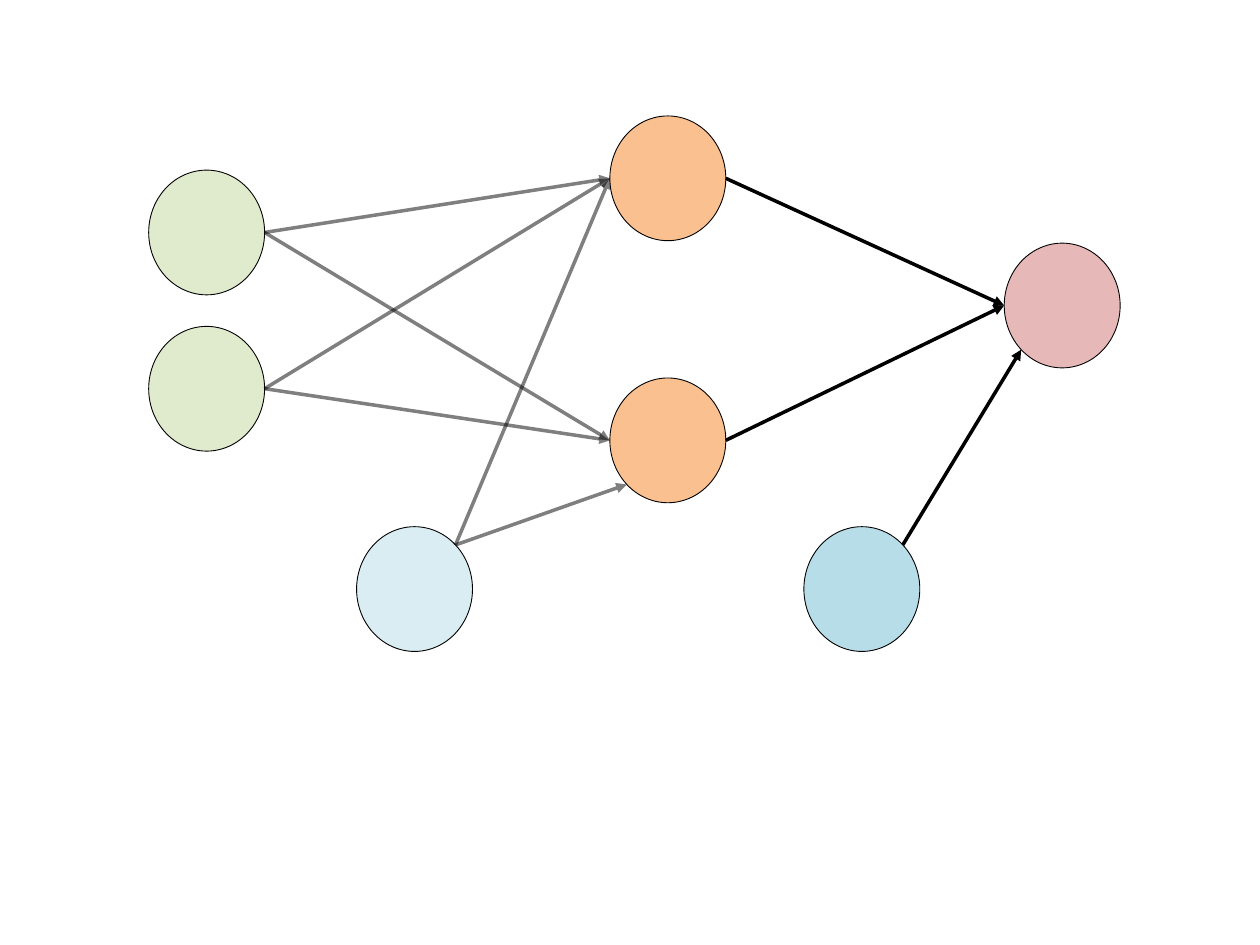
import math
from lxml import etree
from pptx import Presentation
from pptx import util as u
from pptx.dml.color import RGBColor
from pptx.enum import shapes
from pptx.oxml.ns import qn

COLOURS = {
    "line": "000000",
    "input": "C3D69B",
    "hidden": "FAC090",
    "output": "E6B9B8",
    "hidden bias": "93CDDD",
    "output bias": "B7DEE8",
}
NODE_WIDTH, NODE_HEIGHT = 0.92, 0.99

# Node name: colour, left, top, opacity in percent
NODES = {
    "input 1": ("input", 0, 0.43, 50),
    "input 2": ("input", 0, 1.67, 50),
    "hidden 1": ("hidden", 3.66, 0, 100),
    "hidden 2": ("hidden", 3.66, 2.08, 100),
    "output": ("output", 6.79, 1.01, 100),
    "hidden bias": ("hidden bias", 1.65, 3.26, 35),
    "output bias": ("output bias", 5.2, 3.26, 100),
}

# Connection sites of an ellipse: index and angle in degrees, clockwise from the right
SITES = {
    "left": (2, 180),
    "lower left": (3, 135),
    "right": (6, 0),
    "upper right": (7, -45),
}

# From node, site, to node, site, opacity in percent
EDGES = [
    (f"input {i}", "right", f"hidden {j}", "left", 50) for j in (1, 2) for i in (1, 2)
] + [
    (f"hidden {j}", "right", "output", "left", 100) for j in (1, 2)
] + [
    ("hidden bias", "upper right", "hidden 1", "left", 50),
    ("hidden bias", "upper right", "hidden 2", "lower left", 50),
    ("output bias", "upper right", "output", "lower left", 100),
]


def paint(fill, colour, opacity=100):
    fill.solid()
    fill.fore_color.rgb = RGBColor.from_string(COLOURS[colour])
    if opacity < 100:
        element = next(fill._xPr.iter(qn("a:srgbClr")))
        etree.SubElement(element, qn("a:alpha"), val=str(opacity * 1000))


def add_node(slide, left, top, colour, opacity):
    shape = slide.shapes.add_shape(
        shapes.MSO_SHAPE.OVAL, left, top, u.Inches(NODE_WIDTH), u.Inches(NODE_HEIGHT))
    shape.shadow.inherit = False
    paint(shape.fill, colour, opacity)
    paint(shape.line.fill, "line")
    shape.line.width = u.Pt(0.5)
    return shape


def site_point(shape, site):
    angle = math.radians(SITES[site][1])
    return (round(shape.left + shape.width / 2 * (1 + math.cos(angle))),
            round(shape.top + shape.height / 2 * (1 + math.sin(angle))))


def add_edge(slide, start, start_site, end, end_site, opacity):
    connector = slide.shapes.add_connector(
        shapes.MSO_CONNECTOR.STRAIGHT,
        *site_point(start, start_site), *site_point(end, end_site))
    connector.line.width = u.Pt(2)
    paint(connector.line.fill, "line", opacity)
    etree.SubElement(connector.line._get_or_add_ln(), qn("a:tailEnd"), type="triangle")
    etree.SubElement(connector._element.spPr, qn("a:effectLst"))

    # Join to the ellipse sites, which begin_connect does not cover
    joints = connector._element.nvCxnSpPr.cNvCxnSpPr
    for tag, shape, site in (("a:stCxn", start, start_site), ("a:endCxn", end, end_site)):
        etree.SubElement(joints, qn(tag), id=str(shape.shape_id), idx=str(SITES[site][0]))


def add_network(slide, left, top):
    nodes = {
        name: add_node(slide, left + u.Inches(x), top + u.Inches(y), colour, opacity)
        for name, (colour, x, y, opacity) in NODES.items()
    }
    for start, start_site, end, end_site, opacity in EDGES:
        add_edge(slide, nodes[start], start_site, nodes[end], end_site, opacity)


def main():
    presentation = Presentation()
    presentation.slide_width = u.Inches(10)
    presentation.slide_height = u.Inches(7.5)
    slide = presentation.slides.add_slide(presentation.slide_layouts[6])
    add_network(slide, u.Inches(1.18), u.Inches(0.92))
    presentation.save("out.pptx")


if __name__ == "__main__":
    main()
